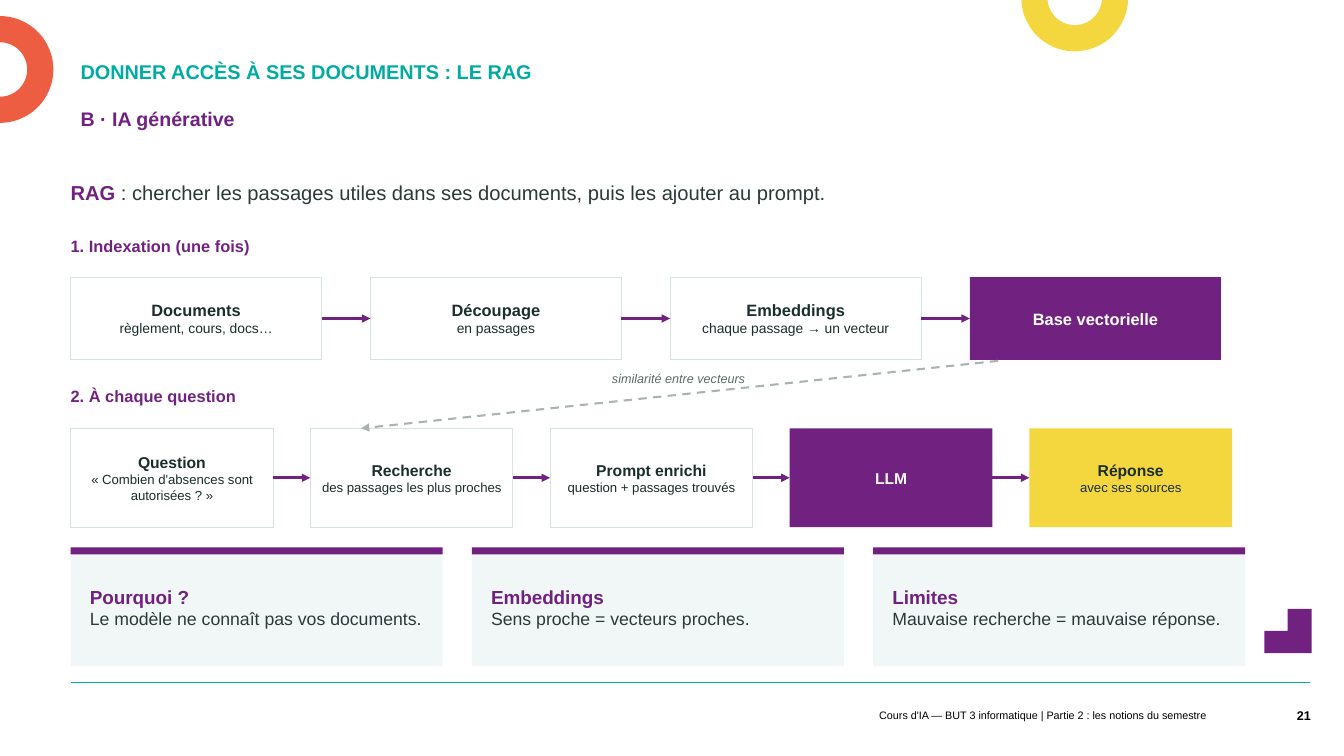
import math

from lxml import etree
from pptx import Presentation
from pptx.dml.color import RGBColor
from pptx.enum import dml, shapes, text
from pptx.oxml.ns import qn
from pptx.util import Inches, Pt

WHITE = RGBColor(0xFF, 0xFF, 0xFF)
BLACK = RGBColor(0, 0, 0)
PURPLE = RGBColor(0x71, 0x21, 0x80)
YELLOW = RGBColor(0xF4, 0xD7, 0x3F)
CORAL = RGBColor(0xED, 0x5D, 0x42)
TEAL = RGBColor(0x00, 0xAB, 0xA2)
INK = RGBColor(0x1A, 0x2E, 0x2B)
BODY = RGBColor(0x2B, 0x3A, 0x38)
MUTED = RGBColor(0x5A, 0x6B, 0x68)
BORDER = RGBColor(0xD5, 0xE3, 0xE1)
DASH = RGBColor(0xA9, 0xB4, 0xB2)
PALE = RGBColor(0xF0, 0xF7, 0xF6)

LEFT = 0.7
TOP, MIDDLE, BOTTOM = (text.MSO_ANCHOR.TOP, text.MSO_ANCHOR.MIDDLE,
                       text.MSO_ANCHOR.BOTTOM)
ALIGN = text.PP_ALIGN


class Deck:
    font = "Arial"

    def __init__(self):
        self.prs = Presentation()
        self.prs.slide_width = Inches(13.33)
        self.prs.slide_height = Inches(7.5)
        self.s = self.prs.slides.add_slide(self.prs.slide_layouts[6])

    def add_text(self, sp, paragraphs, align=ALIGN.LEFT, anchor=TOP,
                 insets=(0, 0, 0, 0), spacing=None):
        """Fill a shape with paragraphs of (text, size, colour, style) runs."""
        tf = sp.text_frame
        tf.word_wrap = True
        tf.vertical_anchor = anchor
        (tf.margin_left, tf.margin_top,
         tf.margin_right, tf.margin_bottom) = map(Inches, insets)
        for i, runs in enumerate(paragraphs):
            p = tf.paragraphs[0] if i == 0 else tf.add_paragraph()
            p.alignment = align
            if spacing:
                p.line_spacing = spacing
            for words, size, colour, style in runs:
                r = p.add_run()
                r.text = words
                r.font.name = self.font
                r.font.size = Pt(size)
                r.font.color.rgb = colour
                r.font.bold = "b" in style
                r.font.italic = "i" in style

    def label(self, x, y, w, h, runs, **layout):
        sp = self.s.shapes.add_textbox(*map(Inches, (x, y, w, h)))
        self.add_text(sp, [runs], **layout)

    def paint(self, sp, fill, border=None):
        sp.shadow.inherit = False
        sp.fill.solid()
        sp.fill.fore_color.rgb = fill
        if border is None:
            sp.line.fill.background()
        else:
            sp.line.color.rgb = border
            sp.line.width = Pt(0.75)
        return sp

    def rect(self, x, y, w, h, fill, border=None):
        sp = self.s.shapes.add_shape(shapes.MSO_SHAPE.RECTANGLE,
                                     *map(Inches, (x, y, w, h)))
        return self.paint(sp, fill, border)

    def outline(self, points, fill):
        emu = [(Inches(x), Inches(y)) for x, y in points]
        builder = self.s.shapes.build_freeform(*emu[0], scale=1.0)
        builder.add_line_segments(emu[1:], close=True)
        self.paint(builder.convert_to_shape(), fill)

    def half_ring(self, cx, cy, start, fill):
        """Half a ring, swept 180 degrees clockwise from the start angle."""
        def arc(radius):
            angles = [math.radians(start + a) for a in range(0, 181, 5)]
            return [(cx + radius * math.cos(a), cy + radius * math.sin(a))
                    for a in angles]
        self.outline(arc(0.53) + arc(0.27)[::-1], fill)

    def line(self, x1, y1, x2, y2, colour, width, arrow=False, dashed=False):
        c = self.s.shapes.add_connector(shapes.MSO_CONNECTOR.STRAIGHT,
                                        *map(Inches, (x1, y1, x2, y2)))
        c.line.color.rgb = colour
        c.line.width = Pt(width)
        if dashed:
            c.line.dash_style = dml.MSO_LINE.DASH
        if arrow:
            ln = c.element.spPr.find(qn("a:ln"))
            etree.SubElement(ln, qn("a:tailEnd"), type="triangle")
        etree.SubElement(c.element.spPr, qn("a:effectLst"))
        return c

    def flow(self, y, w, h, last, sizes, steps):
        """A row of boxes up to the left edge `last`, joined by arrows."""
        pitch = (last - LEFT) / (len(steps) - 1)
        previous = None
        for i, (name, detail, fill) in enumerate(steps):
            x = LEFT + i * pitch
            colour = WHITE if fill == PURPLE else INK
            sp = self.rect(x, y, w, h, fill, BORDER if fill == WHITE else None)
            paragraphs = [[(name, sizes[0], colour, "b")]]
            if detail:
                paragraphs.append([(detail, sizes[1], colour, "")])
            self.add_text(sp, paragraphs, ALIGN.CENTER, MIDDLE,
                          (0.05, 0, 0.05, 0))
            if previous is not None:
                c = self.line(x - pitch + w, y + h / 2, x, y + h / 2,
                              PURPLE, 2, arrow=True)
                c.begin_connect(previous, 3)
                c.end_connect(sp, 1)
            previous = sp

    def card(self, x, title, body):
        y, w = 5.43, 3.69
        sp = self.rect(x, y, w, 1.18, PALE)
        self.add_text(sp, [[(title, 13.5, PURPLE, "b")],
                           [(body, 12.6, BODY, "")]],
                      anchor=MIDDLE, insets=(0.19, 0.07, 0.14, 0.06))
        self.rect(x, y, w, 0.07, PURPLE)


def main():
    deck = Deck()
    padding = (0.1, 0.05, 0.1, 0.05)

    deck.half_ring(10.66, -0.02, 0, YELLOW)
    deck.half_ring(0, 0.69, -90, CORAL)
    deck.outline([(12.77, 6.04), (13.01, 6.04), (13.01, 6.48), (12.54, 6.48),
                  (12.54, 6.26), (12.77, 6.26)], PURPLE)
    deck.line(LEFT, 6.77, 12.99, 6.77, TEAL, 0.5)

    deck.label(LEFT, 0.54, 9.72, 0.34,
               [("DONNER ACCÈS À SES DOCUMENTS : LE RAG", 14.2, TEAL, "b")],
               anchor=BOTTOM, insets=padding, spacing=Pt(16.7))
    deck.label(LEFT, 1.04, 9.72, 0.46,
               [("B · IA générative", 14, PURPLE, "b")],
               insets=padding, spacing=0.9)
    deck.label(LEFT, 1.62, 11.6, 0.57,
               [("RAG ", 14.4, PURPLE, "b"),
                (": chercher les passages utiles dans ses documents, "
                 "puis les ajouter au prompt.", 14.4, BODY, "")],
               anchor=MIDDLE)

    deck.label(LEFT, 2.34, 3.83, 0.36,
               [("1. Indexation (une fois)", 11.7, PURPLE, "b")])
    deck.flow(2.75, 2.49, 0.82, 9.62, (11.7, 9.9), [
        ("Documents", "règlement, cours, docs…", WHITE),
        ("Découpage", "en passages", WHITE),
        ("Embeddings", "chaque passage → un vecteur", WHITE),
        ("Base vectorielle", "", PURPLE),
    ])

    deck.label(LEFT, 3.83, 3.83, 0.36,
               [("2. À chaque question", 11.7, PURPLE, "b")])
    deck.flow(4.25, 2.01, 0.98, 10.21, (11.2, 9.4), [
        ("Question", "« Combien d'absences sont autorisées ? »", WHITE),
        ("Recherche", "des passages les plus proches", WHITE),
        ("Prompt enrichi", "question + passages trouvés", WHITE),
        ("LLM", "", PURPLE),
        ("Réponse", "avec ses sources", YELLOW),
    ])

    deck.line(9.9, 3.58, 3.58, 4.25, DASH, 1.5, arrow=True, dashed=True)
    deck.label(6.07, 3.68, 2.3, 0.31,
               [("similarité entre vecteurs", 9, MUTED, "i")])

    cards = [
        ("Pourquoi ?", "Le modèle ne connaît pas vos documents."),
        ("Embeddings", "Sens proche = vecteurs proches."),
        ("Limites", "Mauvaise recherche = mauvaise réponse."),
    ]
    for i, (title, body) in enumerate(cards):
        deck.card(LEFT + i * 3.98, title, body)

    deck.label(5.43, 6.98, 6.63, 0.23,
               [("Cours d'IA — BUT 3 informatique | Partie 2 : "
                 "les notions du semestre", 7.7, BLACK, "")],
               align=ALIGN.RIGHT, anchor=MIDDLE, insets=padding)
    deck.label(12.45, 6.9, 0.55, 0.4, [("21", 9, BLACK, "b")],
               align=ALIGN.RIGHT, anchor=MIDDLE, insets=(0.1, 0.05, 0, 0.05))

    deck.prs.save("out.pptx")


if __name__ == "__main__":
    main()
